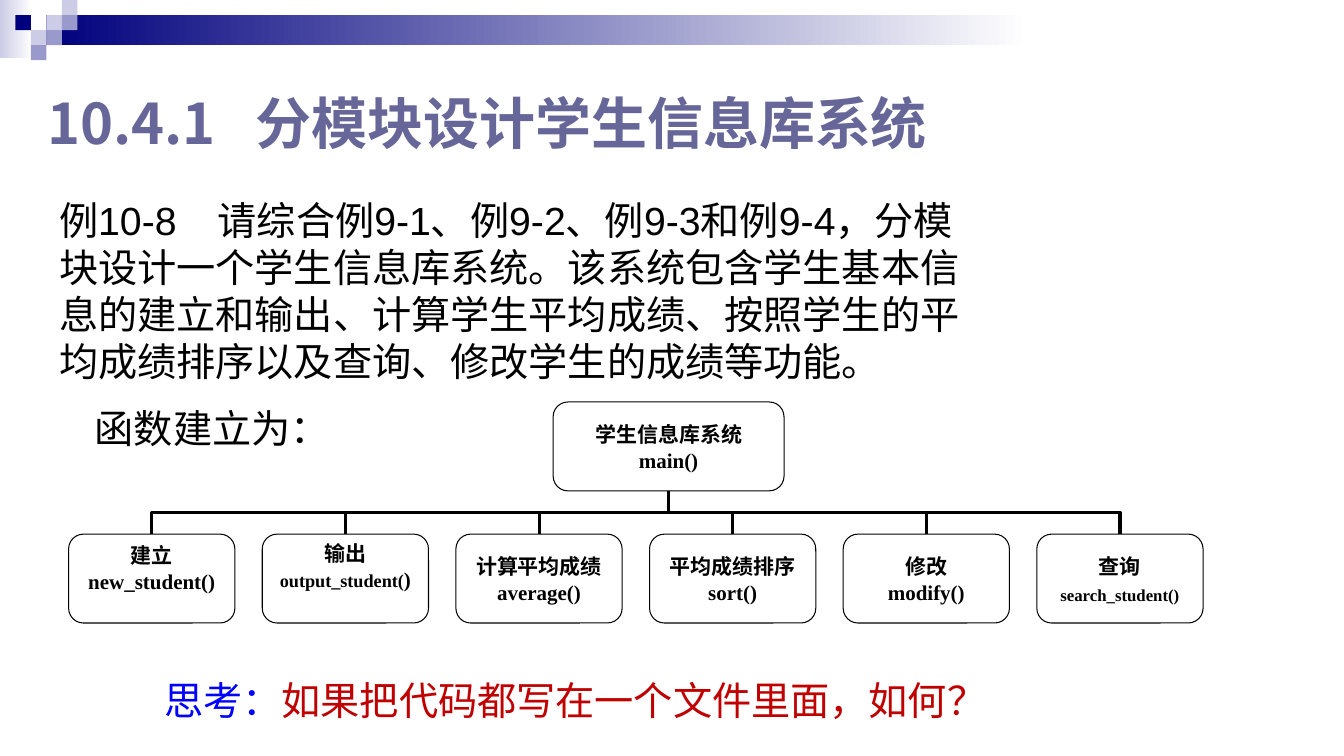
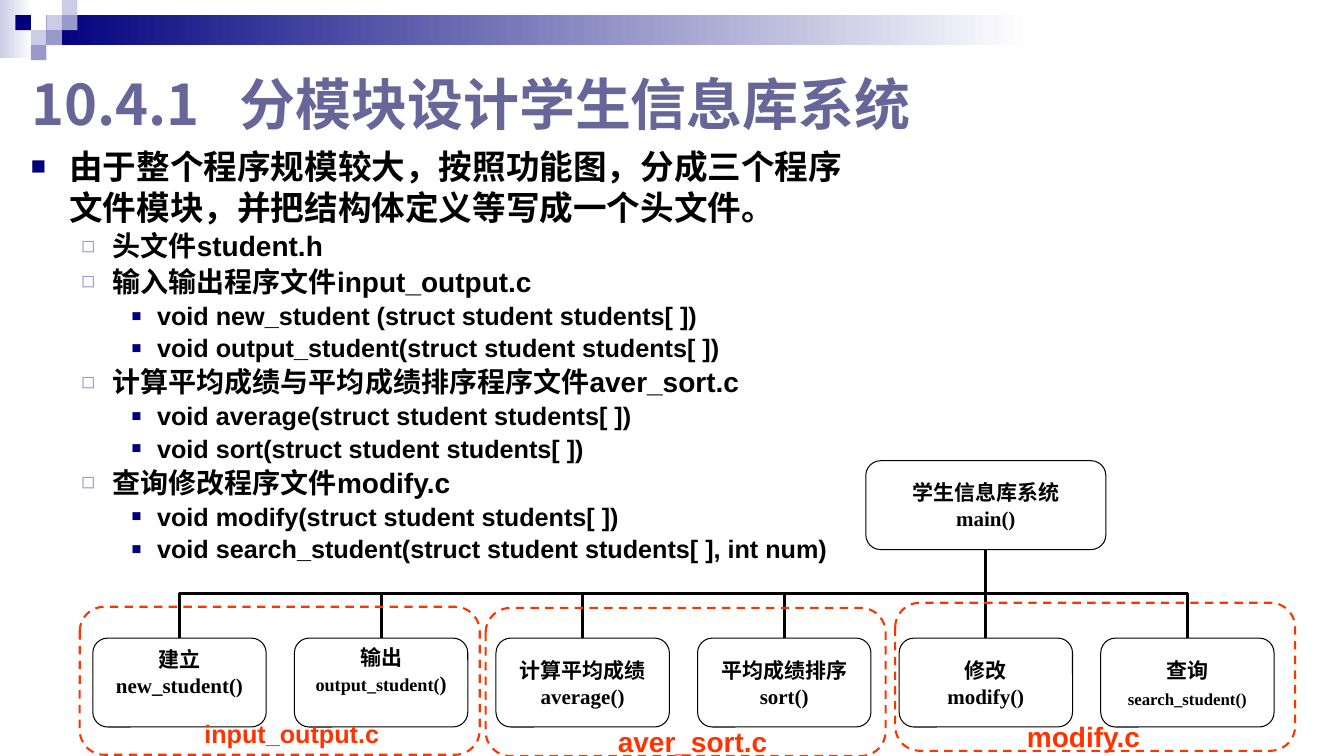
from pptx import Presentation
from pptx.dml.color import RGBColor
from pptx.enum.dml import MSO_LINE_DASH_STYLE as Dash
from pptx.enum.shapes import MSO_CONNECTOR as Link, MSO_SHAPE as Shape
from pptx.enum.text import MSO_ANCHOR as Anchor, PP_ALIGN as Align
from pptx.oxml.ns import qn
from pptx.util import Cm, Pt
from lxml.etree import SubElement

COLORS = {"navy": "00007D", "mid": "9999CC", "pale": "CCCCE6", "white": "FFFFFF",
          "title": "666699", "ink": "000000", "blue": "0000FF", "red": "C00000",
          "flame": "FF3300"}
SANS, SERIF, HAN = "Arial", "Times New Roman", "Noto Sans CJK SC"
TITLE = "10.4.1\t分模块设计学生信息库系统"

# Level: left margin, hanging indent, size, line height, space before, bullet
LEVELS = [
    (0.97, 0.97, 24, 29.3, 0, ("■", "navy", 75)),
    (2.06, 0.79, 20, 21, 4.3, ("◻", "mid", 80)),
    (3.18, 0.64, 18, 19.2, 4, ("■", "navy", 65)),
]
ROOT = ("学生信息库系统", "main()")
# Function: caption, runs of its name with sizes, bottom inset
NODES = [
    ("建立", [("new_student()", 15)], 0.56),
    ("输出", [("output_student(", 13), (")", 15)], 0.66),
    ("计算平均成绩", [("average()", 15)], 0),
    ("平均成绩排序", [("sort()", 15)], 0),
    ("修改", [("modify()", 15)], 0),
    ("查询", [("search_student()", 12)], 0),
]
TASK = ("例10-8\t请综合例9-1、例9-2、例9-3和例9-4，分模块设计一个学生信息库系统。"
        "该系统包含学生基本信息的建立和输出、计算学生平均成绩、按照学生的平均成绩排序"
        "以及查询、修改学生的成绩等功能。")
OUTLINE = [
    (0, "由于整个程序规模较大，按照功能图，分成三个程序文件模块，并把结构体定义等写成一个头文件。"),
    (1, "头文件student.h"),
    (1, "输入输出程序文件input_output.c"),
    (2, "void new_student (struct student students[ ])"),
    (2, "void output_student(struct student students[ ])"),
    (1, "计算平均成绩与平均成绩排序程序文件aver_sort.c"),
    (2, "void average(struct student students[ ])"),
    (2, "void sort(struct student students[ ])"),
    (1, "查询修改程序文件modify.c"),
    (2, "void modify(struct student students[ ])"),
    (2, "void search_student(struct student students[ ], int num)"),
]
# File: frame left and top, label left, top and width, label, size
FILES = [
    (2.01, 15.29, 4.9, 17.98, 4.98, "input_output.c", 18),
    (12.24, 15.32, 15.32, 18.14, 4.3, "aver_sort.c", 20),
    (22.56, 15.19, 25.63, 18.01, 3.4, "modify.c", 20),
]


def rgb(name):
    return RGBColor.from_string(COLORS[name])


class Deck:
    def __init__(self):
        self.file = Presentation()
        self.file.slide_width, self.file.slide_height = Cm(33.87), Cm(19.05)
        self.slide = None

    def page(self, left, top, width):
        """Start a slide with the corner pattern and the shared title."""
        self.slide = self.file.slides.add_slide(self.file.slide_layouts[5])
        self.corner()
        title = self.slide.shapes.title
        title.left, title.top = Cm(left), Cm(top)
        title.width, title.height = Cm(width), Cm(2.67)
        frame = title.text_frame
        frame.word_wrap, frame.vertical_anchor = True, Anchor.MIDDLE
        frame.text = TITLE
        par = frame.paragraphs[0]
        par.alignment = Align.LEFT
        self.tab(par, 5.25)
        self.style(par.runs[0], 40, HAN, "title", True)

    def corner(self):
        self.block(0, 0, 0.81, 1.47, "pale", "white")
        self.block(1.17, 0.38, 24.77, 0.76, "navy", "white")
        cells = {"pale": [(3, 1), (4, 0), (2, 2)],
                 "mid": [(4, 1), (3, 2), (2, 3)], "navy": [(1, 1)]}
        for color, spots in cells.items():
            for col, row in spots:
                self.block(col * 0.39, row * 0.38, 0.39, 0.38, color)

    def block(self, left, top, width, height, color, fade=None):
        box = self.shape(Shape.RECTANGLE, left, top, width, height)
        box.line.fill.background()
        if fade:
            box.fill.gradient()
            box.fill.gradient_angle = 0
            for stop, name in zip(box.fill.gradient_stops, (color, fade)):
                stop.color.rgb = rgb(name)
        else:
            box.fill.solid()
            box.fill.fore_color.rgb = rgb(color)

    def shape(self, kind, left, top, width, height):
        box = self.slide.shapes.add_shape(kind, Cm(left), Cm(top), Cm(width), Cm(height))
        box.shadow.inherit = False
        return box

    def round(self, left, top, width, height, color, weight):
        """Add a rounded outline without fill."""
        box = self.shape(Shape.ROUNDED_RECTANGLE, left, top, width, height)
        box.fill.background()
        box.line.color.rgb, box.line.width = rgb(color), Pt(weight)
        return box

    def text(self, left, top, width, height, wrap=True):
        box = self.slide.shapes.add_textbox(Cm(left), Cm(top), Cm(width), Cm(height))
        box.text_frame.word_wrap = wrap
        return box.text_frame

    def style(self, run, size, face=SANS, color="ink", bold=False):
        font = run.font
        font.size, font.name, font.bold = Pt(size), face, bold
        font.color.rgb = rgb(color)
        SubElement(font._element, qn("a:ea")).set("typeface", HAN)

    def tab(self, par, pos):
        tabs = SubElement(par._p.get_or_add_pPr(), qn("a:tabLst"))
        stop = SubElement(tabs, qn("a:tab"))
        stop.set("pos", str(Cm(pos)))
        stop.set("algn", "l")

    def bullet(self, par, mark, color, scale):
        props = par._p.get_or_add_pPr()
        tint = SubElement(props, qn("a:buClr"))
        SubElement(tint, qn("a:srgbClr")).set("val", COLORS[color])
        SubElement(props, qn("a:buSzPct")).set("val", str(scale * 1000))
        SubElement(props, qn("a:buFont")).set("typeface", SANS)
        SubElement(props, qn("a:buChar")).set("char", mark)

    def list(self, frame, items):
        for i, (level, words) in enumerate(items):
            par = frame.add_paragraph() if i else frame.paragraphs[0]
            left, hang, size, pitch, gap, mark = LEVELS[level]
            par.text, par.level = words, level
            props = par._p.get_or_add_pPr()
            props.set("marL", str(Cm(left)))
            props.set("indent", str(Cm(-hang)))
            self.bullet(par, *mark)
            par.line_spacing = Pt(pitch)
            if i:
                par.space_before = Pt(gap)
            self.style(par.runs[0], size, bold=True)

    def node(self, left, top, width, caption, parts, inset=0):
        box = self.round(left, top, width, 2.24, "ink", 0.75)
        frame = box.text_frame
        frame.word_wrap, frame.vertical_anchor = True, Anchor.MIDDLE
        frame.margin_left = frame.margin_right = frame.margin_top = 0
        frame.margin_bottom = Cm(inset)
        lines = [[(caption, 15)], parts]
        for i, line in enumerate(lines):
            par = frame.add_paragraph() if i else frame.paragraphs[0]
            par.alignment, par.line_spacing = Align.CENTER, Pt(18.5)
            for words, size in line:
                run = par.add_run()
                run.text = words
                self.style(run, size, SERIF, bold=True)

    def elbow(self, x1, y1, x2, y2):
        """Join two points down, across and down: an elbow turned by 90 degrees."""
        mid, half = (x1 + x2) / 2, (y2 - y1) / 2
        level, reach = (y1 + y2) / 2, (x1 - x2) / 2
        line = self.slide.shapes.add_connector(
            Link.ELBOW, Cm(mid - half), Cm(level - reach), Cm(mid + half), Cm(level + reach))
        line.line.color.rgb, line.line.width = rgb("ink"), Pt(2.25)
        props = line._element.spPr
        props.find(qn("a:xfrm")).set("rot", "5400000")
        SubElement(props, qn("a:effectLst"))

    def tree(self, root, left, top, width, step):
        """Draw the call tree; root holds left, top and width."""
        x, y, span = root
        for i in range(len(NODES)):
            self.elbow(x + span / 2, y + 2.24, left + i * step + width / 2, top)
        self.node(x, y, span, ROOT[0], [(ROOT[1], 15)])
        for i, node in enumerate(NODES):
            self.node(left + i * step, top, width, *node)

    def group(self, left, top, x, y, width, words, size):
        """Frame the functions of one file and name it."""
        frame = self.text(x, y, width, 1.02, False)
        frame.text = words
        self.style(frame.paragraphs[0].runs[0], size, color="flame", bold=True)
        box = self.round(left, top, 10.08, 3.73, "flame", 1.5)
        box.line.dash_style = Dash.DASH

    def task(self):
        frame = self.text(1.24, 4.83, 23.6, 6.78)
        frame.text = TASK
        first, last = frame.paragraphs[0], frame.add_paragraph()
        last.text = "函数建立为："
        self.tab(first, 4)
        last._p.get_or_add_pPr().set("marL", str(Cm(0.9)))
        last.space_before = Pt(14)
        for par in (first, last):
            par.line_spacing = Pt(33.6)
            self.style(par.runs[0], 28)

    def ask(self):
        par = self.text(3.89, 16.92, 21.46, 1.45, False).paragraphs[0]
        par.line_spacing = Pt(33.6)
        for words, color in [("思考：", "blue"), ("如果把代码都写在一个文件里面，如何？", "red")]:
            run = par.add_run()
            run.text = words
            self.style(run, 28, HAN, color)


def main():
    deck = Deck()
    deck.page(0.94, 1.73, 24.23)
    deck.tree((13.94, 10.13, 5.82), 1.73, 13.46, 4.19, 4.88)
    deck.task()
    deck.ask()

    deck.page(0.53, 1.27, 27.84)
    deck.list(deck.text(0.53, 3.53, 21, 11.2), OUTLINE)
    deck.tree((21.82, 11.61, 6.05), 2.34, 16.08, 4.37, 5.08)
    for item in FILES:
        deck.group(*item)
    deck.file.save("out.pptx")


if __name__ == "__main__":
    main()
